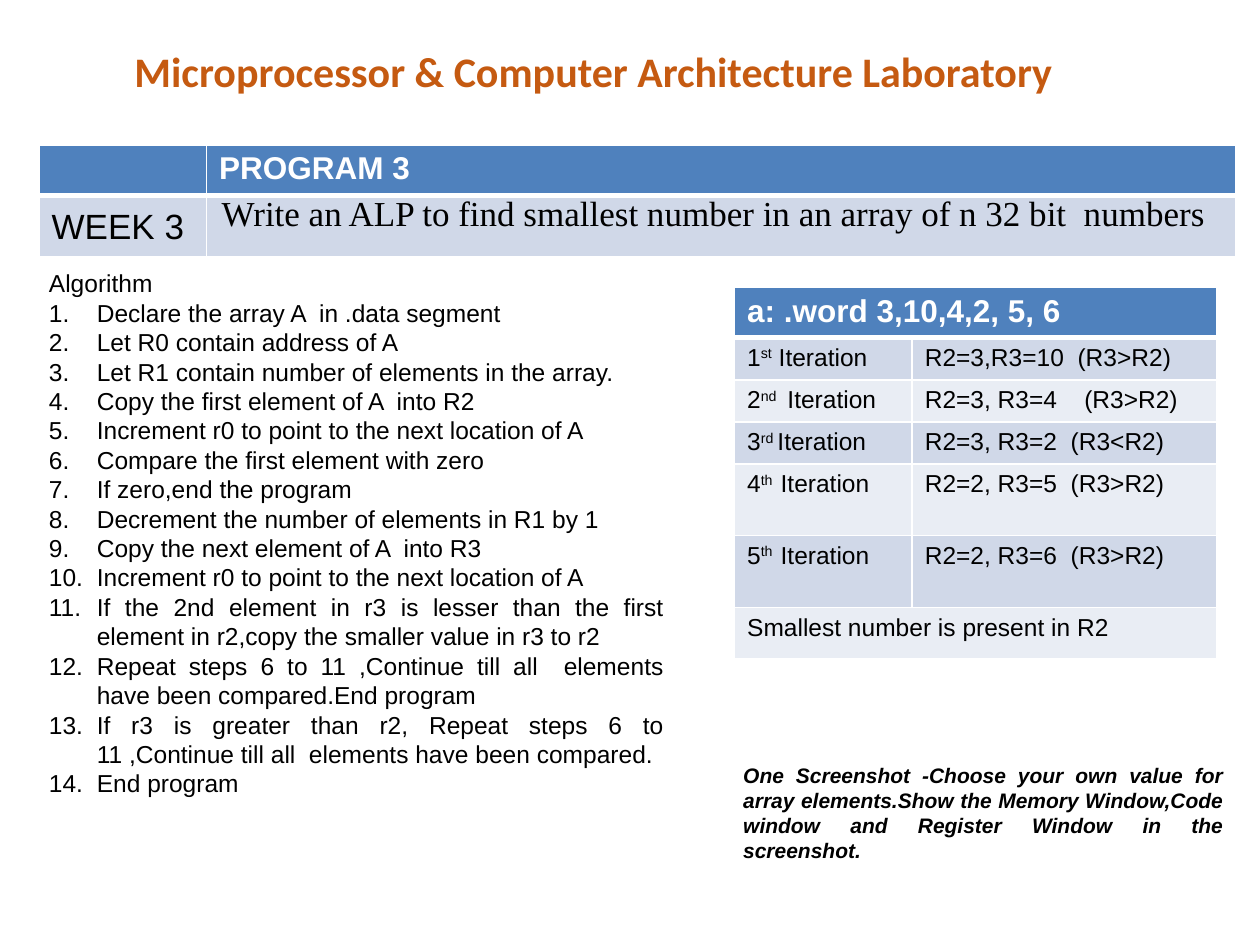
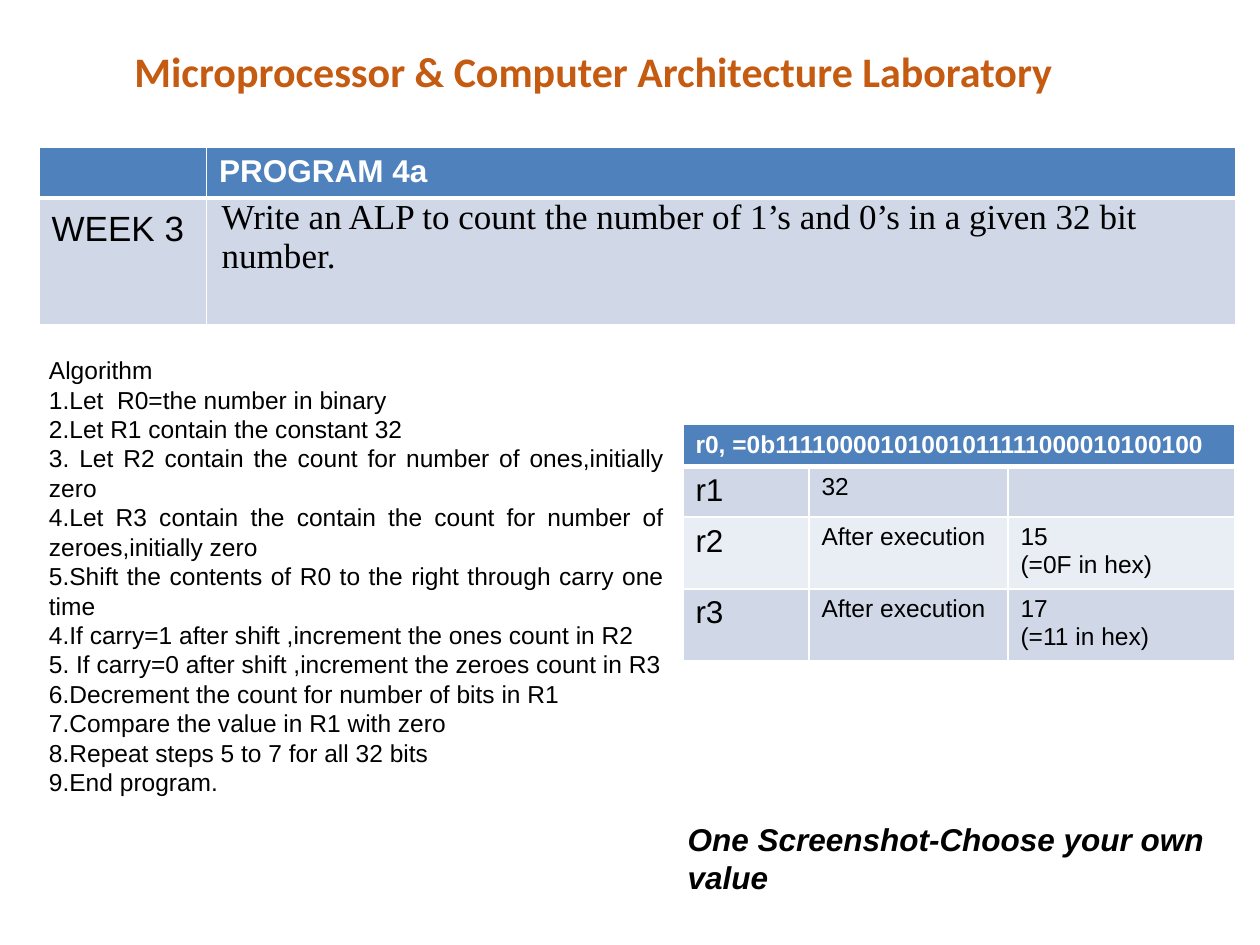
from lxml.etree import SubElement
from pptx import Presentation
from pptx.dml.color import RGBColor
from pptx.enum.text import MSO_ANCHOR, MSO_AUTO_SIZE, PP_ALIGN
from pptx.oxml.ns import qn
from pptx.util import Inches, Pt

ORANGE = RGBColor(0xC5, 0x5A, 0x11)
BLUE = RGBColor(0x4F, 0x81, 0xBD)
BAND_DARK = RGBColor(0xD0, 0xD8, 0xE8)
BAND_LIGHT = RGBColor(0xE9, 0xED, 0xF4)
WHITE = RGBColor(0xFF, 0xFF, 0xFF)
BLACK = RGBColor(0x00, 0x00, 0x00)

COURSE = "Microprocessor & Computer Architecture Laboratory"
HANGING = 0.38

SMALLEST_STEPS = [
    "Declare the array A  in .data segment",
    "Let R0 contain address of A",
    "Let R1 contain number of elements in the array.",
    "Copy the first element of A  into R2",
    "Increment r0 to point to the next location of A",
    "Compare the first element with zero",
    "If zero,end the program",
    "Decrement the number of elements in R1 by 1",
    "Copy the next element of A  into R3",
    "Increment r0 to point to the next location of A",
    "If the 2nd element in r3 is lesser than the first element in r2,"
    "copy the smaller value in r3 to r2",
    "Repeat steps 6 to 11 ,Continue till all  elements have been compared."
    "End program",
    "If r3 is greater than r2, Repeat steps 6 to 11 ,"
    "Continue till all  elements have been compared.",
    "End program",
]
COUNT_STEPS = [
    "1.Let  R0=the number in binary ",
    "2.Let R1 contain the constant 32",
    "3. Let R2 contain the count for number of ones,initially zero",
    "4.Let R3 contain the contain the count for number of zeroes,initially zero",
    "5.Shift the contents of R0 to the right through carry one time ",
    "4.If carry=1 after shift ,increment the ones count in R2",
    "5. If carry=0 after shift ,increment the zeroes count in R3",
    "6.Decrement the count for number of bits in R1",
    "7.Compare the value in R1 with zero",
    "8.Repeat steps 5 to 7 for all 32 bits",
    "9.End program.",
]
# Ordinal number, its raised suffix, the label and the register values
ITERATIONS = [
    ("1", "st", " Iteration", "R2=3,R3=10  (R3>R2)"),
    ("2", "nd ", " Iteration", "R2=3, R3=4    (R3>R2)"),
    ("3", "rd ", "Iteration", "R2=3, R3=2  (R3<R2)"),
    ("4", "th  ", "Iteration", "R2=2, R3=5  (R3>R2)"),
    ("5", "th  ", "Iteration", "R2=2, R3=6  (R3>R2)"),
]
REGISTERS = [
    ("r1", ["32"], []),
    ("r2", ["After execution"], ["15", "(=0F in hex)"]),
    ("r3", ["After execution"], ["17", "(=11 in hex)"]),
]


def add_span(para, text, size, color=BLACK, font="Arial", bold=False,
             italic=False, raised=False):
    span = para.add_run()
    span.text = text
    span.font.name = font
    span.font.size = Pt(size)
    span.font.bold = bold
    span.font.italic = italic
    span.font.color.rgb = color
    if raised:
        span._r.get_or_add_rPr().set("baseline", "30000")


def add_lines(frame, lines, size, align=None, **style):
    for index, line in enumerate(lines):
        para = frame.add_paragraph() if index else frame.paragraphs[0]
        para.alignment = align
        add_span(para, line, size, **style)


def add_box(page, left, top, width, height):
    box = page.shapes.add_textbox(Inches(left), Inches(top), Inches(width), Inches(height))
    box.text_frame.word_wrap = True
    box.text_frame.auto_size = MSO_AUTO_SIZE.SHAPE_TO_FIT_TEXT
    return box.text_frame


def number_steps(paras):
    for para in paras:
        properties = para._p.get_or_add_pPr()
        properties.set("marL", str(Inches(HANGING)))
        properties.set("indent", str(-Inches(HANGING)))
        SubElement(properties, qn("a:buFont"), typeface="+mj-lt")
        SubElement(properties, qn("a:buAutoNum"), type="arabicPeriod")


def style_cell(cell, row, fill):
    """White rules, with a heavy one between header and body."""
    properties = cell._tc.get_or_add_tcPr()
    heavy = {(0, "B"), (1, "T")}
    for side in "LRTB":
        width = Pt(3 if (row, side) in heavy else 1)
        line = SubElement(properties, qn(f"a:ln{side}"), w=str(width))
        solid = SubElement(line, qn("a:solidFill"))
        SubElement(solid, qn("a:srgbClr"), val=str(WHITE))
    cell.fill.solid()
    cell.fill.fore_color.rgb = fill


def add_banded_table(page, left, top, widths, heights):
    table = page.shapes.add_table(
        len(heights), len(widths), Inches(left), Inches(top),
        Inches(sum(widths)), Inches(sum(heights))).table
    for column, width in zip(table.columns, widths):
        column.width = Inches(width)
    for index, (row, height) in enumerate(zip(table.rows, heights)):
        row.height = Inches(height)
        band = BAND_DARK if index % 2 else BAND_LIGHT
        for cell in row.cells:
            style_cell(cell, index, band if index else BLUE)
    return table


def merge_row(table, row):
    first = table.cell(row, 0)
    first.merge(table.cell(row, len(table.columns) - 1))
    return first.text_frame


# Course title across the top of every page
def add_title(page):
    frame = add_box(page, 0.25, 0.31, 8.92, 0.5)
    frame.vertical_anchor = MSO_ANCHOR.MIDDLE
    add_lines(frame, [COURSE], 24, PP_ALIGN.CENTER, color=ORANGE, font="Calibri", bold=True)


# Week, program number and task
def add_program(page, top, task_height, program, task):
    table = add_banded_table(page, 0.31, top, [1.33, 8.17], [0.39, task_height])
    add_lines(table.cell(0, 1).text_frame, [program], 18, color=WHITE, bold=True)
    week = table.cell(1, 0).text_frame
    add_lines(week, ["WEEK 3"], 20, PP_ALIGN.JUSTIFY)
    week.paragraphs[0].line_spacing = 1.15
    cell = table.cell(1, 1)
    cell.margin_left = cell.margin_right = Inches(0.12)
    cell.margin_top = cell.margin_bottom = 0
    add_lines(cell.text_frame, [task], 20, font="Times New Roman")


# Algorithm column on the left
def add_algorithm(page, top, height, steps, numbered=False):
    frame = add_box(page, 0.29, top, 5.08, height)
    add_lines(frame, ["Algorithm"] + steps, 14, PP_ALIGN.JUSTIFY)
    if numbered:
        number_steps(frame.paragraphs[1:])


# Trace of the array search
def add_iterations(page, left, top):
    table = add_banded_table(page, left, top, [1.41, 2.42],
                             [0.39] + [0.33] * 3 + [0.57] * 2 + [0.41])
    add_lines(merge_row(table, 0), ["a: .word 3,10,4,2, 5, 6"], 18, color=WHITE, bold=True)
    for row, (number, suffix, label, values) in enumerate(ITERATIONS, 1):
        para = table.cell(row, 0).text_frame.paragraphs[0]
        add_span(para, number, 14)
        add_span(para, suffix, 14, raised=True)
        add_span(para, label, 14)
        add_lines(table.cell(row, 1).text_frame, [values], 14)
    add_lines(merge_row(table, 6), ["Smallest number is present in R2"], 14)


# Register contents of the bit count
def add_registers(page, left, top):
    table = add_banded_table(page, left, top, [1, 1.58, 1.8], [0.33, 0.4, 0.57, 0.57])
    add_lines(merge_row(table, 0), ["r0, =0b11110000101001011111000010100100"],
              14, color=WHITE, bold=True)
    for row, (register, state, result) in enumerate(REGISTERS, 1):
        add_lines(table.cell(row, 0).text_frame, [register], 18)
        add_lines(table.cell(row, 1).text_frame, state, 14)
        add_lines(table.cell(row, 2).text_frame, result, 14)


# Instruction for the screenshot
def add_note(page, left, top, width, height, text, size, align=None):
    frame = add_box(page, left, top, width, height)
    add_lines(frame, [text], size, align, bold=True, italic=True)


def build_smallest_page(page):
    add_title(page)
    add_program(page, 1.15, 0.47, "PROGRAM 3",
                "Write an ALP to find smallest number in an array of n 32 bit  numbers")
    add_iterations(page, 5.83, 2.28)
    add_algorithm(page, 2.08, 5.99, SMALLEST_STEPS, numbered=True)
    add_note(page, 5.8, 6, 4.01, 0.91,
             "One Screenshot -Choose your own value for array elements."
             "Show the Memory Window,Code window and Register Window in the screenshot.",
             12, PP_ALIGN.JUSTIFY)


def build_count_page(page):
    add_title(page)
    add_program(page, 1.17, 1.01, "PROGRAM 4a",
                "Write an ALP to count the number of 1’s and 0’s in a given 32 bit number.")
    add_registers(page, 5.42, 3.37)
    add_algorithm(page, 2.77, 4.34, COUNT_STEPS)
    add_note(page, 5.36, 6.46, 5, 0.71, "One Screenshot-Choose your own value", 18)


def main():
    deck = Presentation()
    deck.slide_width, deck.slide_height = Inches(10), Inches(7.5)
    for build in (build_smallest_page, build_count_page):
        build(deck.slides.add_slide(deck.slide_layouts[6]))
    deck.save("out.pptx")


if __name__ == "__main__":
    main()
